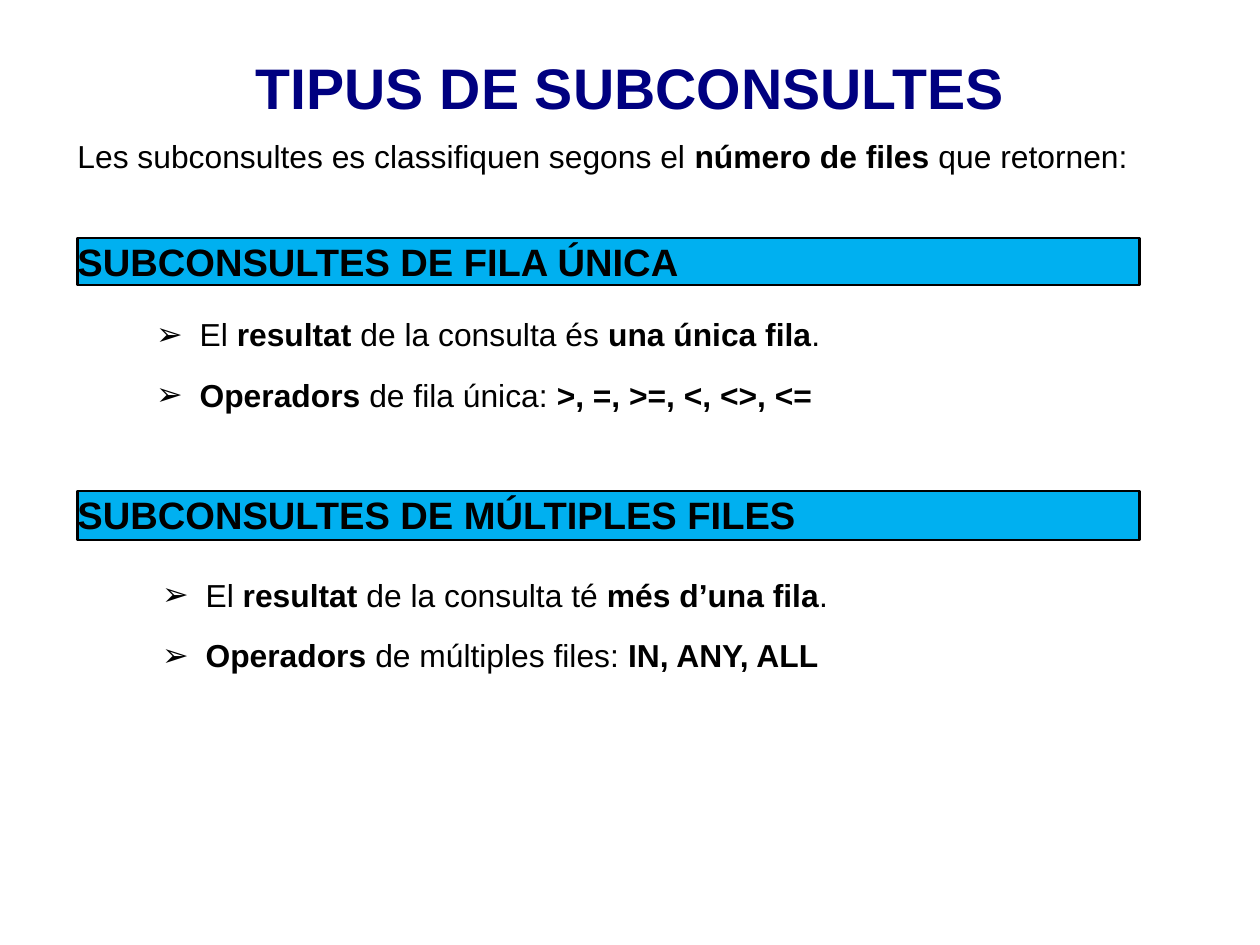
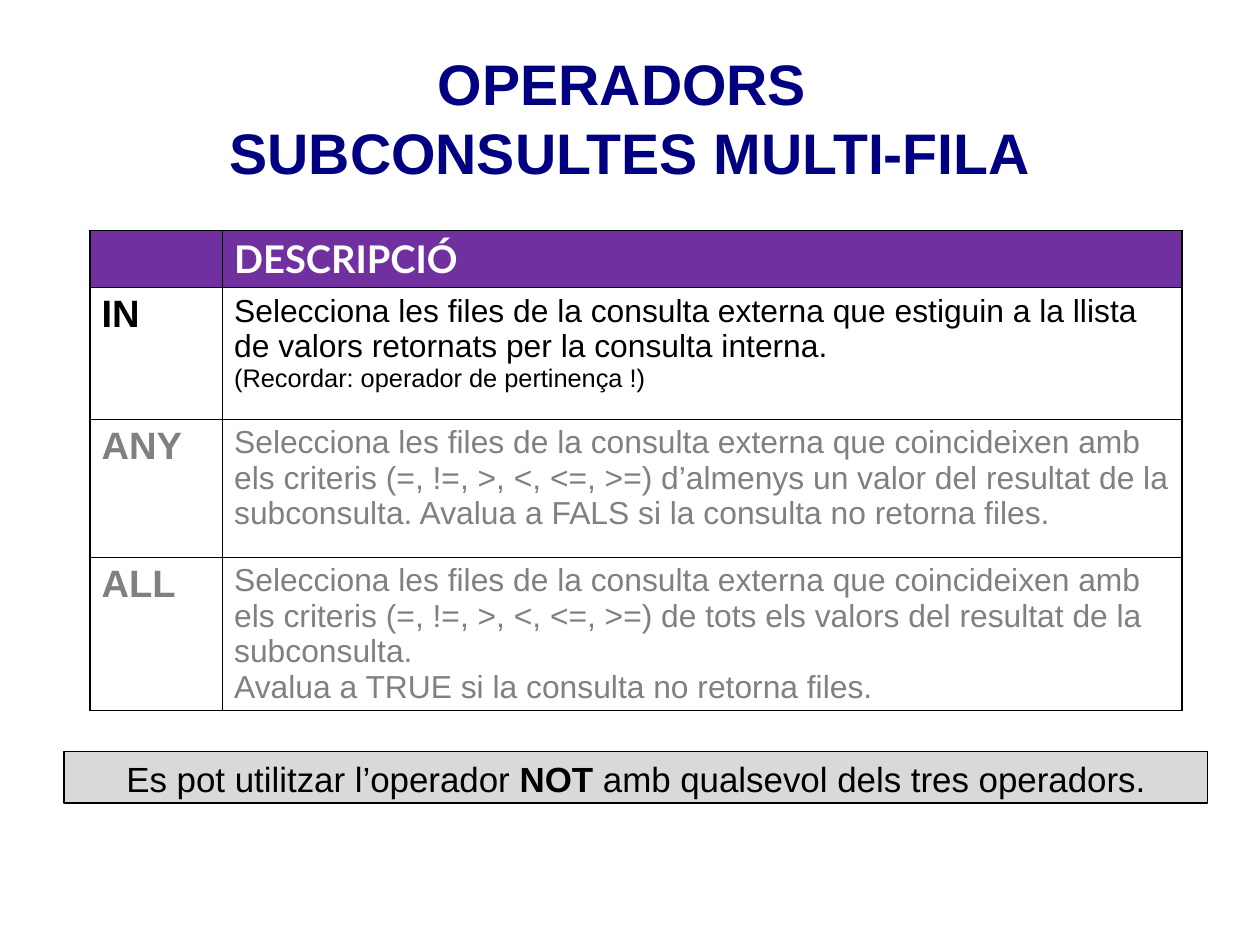
from lxml import etree
from pptx import Presentation, util as u
from pptx.dml.color import RGBColor
from pptx.enum import shapes, text
from pptx.oxml import ns

NAVY = RGBColor(0x00, 0x00, 0x80)
BLACK = RGBColor(0x00, 0x00, 0x00)
WHITE = RGBColor(0xFF, 0xFF, 0xFF)
GREY = RGBColor(0x80, 0x80, 0x80)
SILVER = RGBColor(0xD9, 0xD9, 0xD9)
SKY = RGBColor(0x00, 0xB0, 0xF0)
PURPLE = RGBColor(0x70, 0x30, 0xA0)

FONT = "Arial"
HEADER_FONT = "Lato"
LEFT = text.PP_ALIGN.LEFT
CENTER = text.PP_ALIGN.CENTER


def write(frame, content, size=20, color=BLACK, font=FONT, bold=False, align=LEFT,
          after=0, append=False, extend=False):
    paragraph = frame.add_paragraph() if append else frame.paragraphs[-1]
    if not extend:
        paragraph.alignment = align
        paragraph.space_before = u.Pt(0)
        paragraph.space_after = u.Pt(after)
    for position, part in enumerate(content.split("**")):
        for number, line in enumerate(part.split("\n")):
            if number:
                paragraph.add_line_break()
            if line:
                run = paragraph.add_run()
                run.text = line
                run.font.name = font
                run.font.size = u.Pt(size)
                run.font.bold = bold or position % 2 == 1
                run.font.color.rgb = color
    return paragraph


def add_bullet(paragraph, symbol="➢", indent=0.38):
    properties = paragraph._p.get_or_add_pPr()
    properties.set("marL", str(u.Inches(indent)))
    properties.set("indent", str(-u.Inches(indent)))
    etree.SubElement(properties, ns.qn("a:buFont")).set("typeface", FONT)
    etree.SubElement(properties, ns.qn("a:buChar")).set("char", symbol)


def add_borders(cell, width=1):
    properties = cell._tc.get_or_add_tcPr()
    for side in ("lnL", "lnR", "lnT", "lnB"):
        line = etree.SubElement(properties, ns.qn(f"a:{side}"), w=str(u.Pt(width)))
        fill = etree.SubElement(line, ns.qn("a:solidFill"))
        etree.SubElement(fill, ns.qn("a:srgbClr")).set("val", str(BLACK))


class Deck:
    TITLE_AND_BODY = 1
    TITLE_ONLY = 5

    def __init__(self, width=u.Emu(10080625), height=u.Emu(7559675)):
        self.presentation = Presentation()
        self.presentation.slide_width = width
        self.presentation.slide_height = height
        self.slide = None

    def across(self, percent):
        return round(self.presentation.slide_width * percent / 100)

    def down(self, percent):
        return round(self.presentation.slide_height * percent / 100)

    def area(self, left, top, width, height):
        return self.across(left), self.down(top), self.across(width), self.down(height)

    def place(self, holder, area):
        holder.left, holder.top, holder.width, holder.height = self.area(*area)

    def prepare(self, frame, anchor=text.MSO_ANCHOR.TOP, inset_x=0, inset_y=0):
        frame.word_wrap = True
        frame.auto_size = text.MSO_AUTO_SIZE.NONE
        frame.vertical_anchor = anchor
        frame.margin_left = frame.margin_right = u.Inches(inset_x)
        frame.margin_top = frame.margin_bottom = u.Inches(inset_y)
        return frame

    def start(self, layout, title, title_height):
        layouts = self.presentation.slide_layouts
        self.slide = self.presentation.slides.add_slide(layouts[layout])
        heading = self.slide.shapes.title
        self.place(heading, (5, 4.45, 90, title_height))
        frame = self.prepare(heading.text_frame, anchor=text.MSO_ANCHOR.MIDDLE)
        write(frame, title, size=36, color=NAVY, bold=True, align=CENTER)

    def textbox(self, area):
        return self.prepare(self.slide.shapes.add_textbox(*self.area(*area)).text_frame)

    def paragraph(self, area, content):
        write(self.textbox(area), content, after=14.1)

    def bullets(self, area, items, placeholder=False):
        if placeholder:
            body = self.slide.placeholders[1]
            self.place(body, area)
            frame = self.prepare(body.text_frame)
        else:
            frame = self.textbox(area)
        for number, item in enumerate(items):
            add_bullet(write(frame, item, after=14.1, append=number > 0))

    def band(self, area, content, fill, line_width, inset_x=0, inset_y=0, **style):
        band = self.slide.shapes.add_shape(shapes.MSO_SHAPE.RECTANGLE, *self.area(*area))
        band.shadow.inherit = False
        band.fill.solid()
        band.fill.fore_color.rgb = fill
        band.line.color.rgb = BLACK
        band.line.width = u.Pt(line_width)
        frame = self.prepare(band.text_frame, inset_x=inset_x, inset_y=inset_y)
        write(frame, content, **style)

    def section(self, top, height, content):
        self.band((6.15, top, 84.3, height), content, SKY, 1.5, size=24, bold=True)

    def operators(self, left, top, columns, heights, header, rows):
        area = self.area(left, top, sum(columns), sum(heights))
        table = self.slide.shapes.add_table(len(heights), len(columns), *area).table
        table.first_row = table.horz_banding = False
        for column, width in zip(table.columns, columns):
            column.width = self.across(width)
        for row, height in zip(table.rows, heights):
            row.height = self.down(height)
        for cell in table.iter_cells():
            add_borders(cell)
            cell.fill.background()
        for cell in table.rows[0].cells:
            cell.fill.solid()
            cell.fill.fore_color.rgb = PURPLE
        write(table.cell(0, 1).text_frame, header, size=24, color=WHITE,
              font=HEADER_FONT, bold=True)
        for number, (operator, description, reminder, color) in enumerate(rows, 1):
            write(table.cell(number, 0).text_frame, operator, size=24, color=color, bold=True)
            frame = table.cell(number, 1).text_frame
            write(frame, description, color=color)
            if reminder:
                write(frame, reminder, size=16, color=color, extend=True)


def subquery_types(deck):
    deck.start(deck.TITLE_AND_BODY, "TIPUS DE SUBCONSULTES", 9.43)
    deck.bullets((12.4, 33.35, 77.22, 12.94), [
        "El **resultat** de la consulta és **una única fila**.",
        "**Operadors** de fila única: **>, =, >=, <, <>, <=**",
    ], placeholder=True)
    deck.paragraph((6.15, 14.45, 90, 5.44),
                   "Les subconsultes es classifiquen segons el **número de files **que retornen:")
    deck.section(25.2, 4.96, "SUBCONSULTES DE FILA ÚNICA")
    deck.section(51.95, 5.2, "SUBCONSULTES DE MÚLTIPLES FILES")
    deck.bullets((12.87, 60.92, 77.04, 13.66), [
        "El **resultat** de la consulta té **més d’una fila**.",
        "**Operadors** de múltiples files: **IN, ANY, ALL**",
    ])


def multi_row_operators(deck):
    deck.start(deck.TITLE_ONLY, "OPERADORS \nSUBCONSULTES MULTI-FILA", 15.84)
    shared = ("Selecciona les files de la consulta externa que coincideixen amb "
              "els criteris (=, !=, >, <, <=, >=) ")
    deck.operators(7.15, 24.4, (10.53, 76.13), (6.05, 13.91, 14.63, 16.2), "DESCRIPCIÓ", [
        ("IN", "Selecciona les files de la consulta externa que estiguin a la llista "
               "de valors retornats per la consulta interna.",
         "\n(Recordar: operador de pertinença !)", BLACK),
        ("ANY", shared + "d’almenys un valor del resultat de la subconsulta. "
                         "Avalua a FALS si la consulta no retorna files.", None, GREY),
        ("ALL", shared + "de tots els valors del resultat de la subconsulta.\n"
                         "Avalua a TRUE si la consulta no retorna files.", None, GREY),
    ])
    deck.band((5.1, 79.53, 90.74, 5.44),
              "Es pot utilitzar l’operador **NOT** amb qualsevol dels tres operadors.",
              SILVER, 1, inset_x=0.1, inset_y=0.05, size=22, align=CENTER)


def main():
    deck = Deck()
    subquery_types(deck)
    multi_row_operators(deck)
    deck.presentation.save("out.pptx")


if __name__ == "__main__":
    main()
